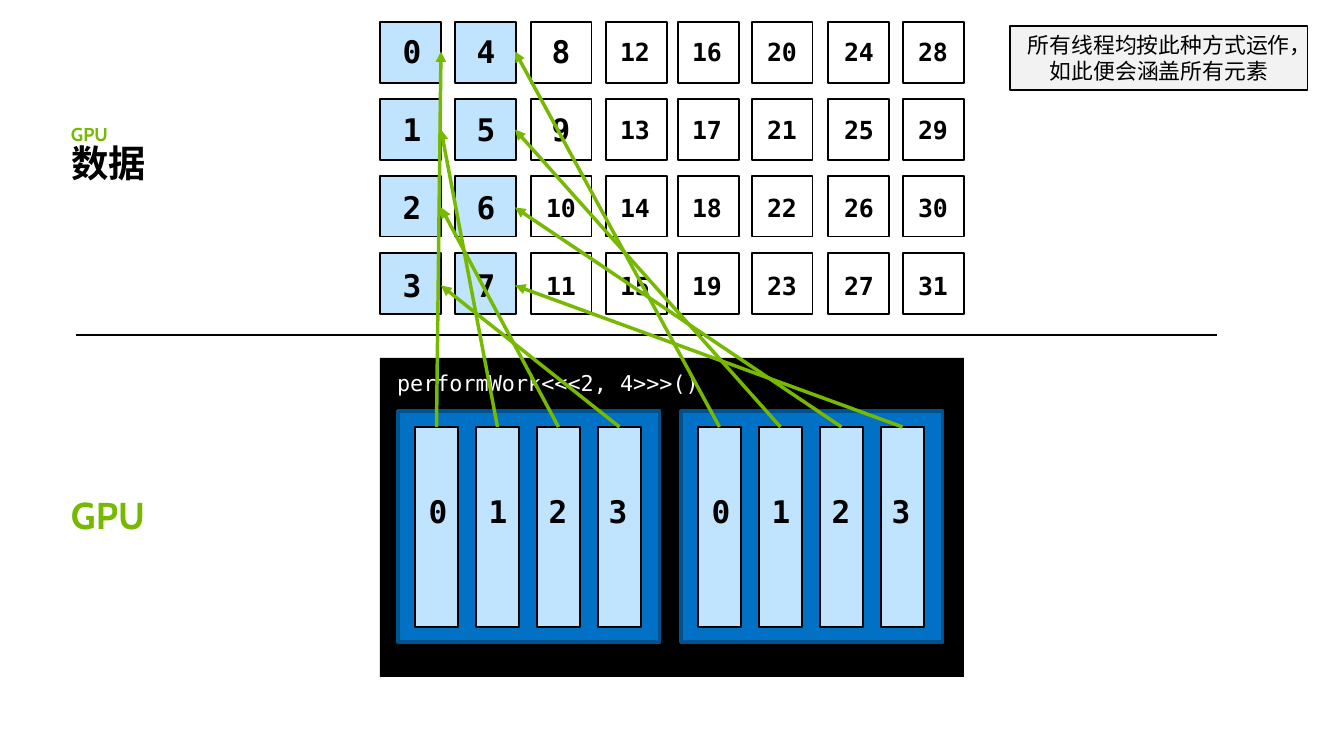
from lxml import etree
from pptx import Presentation
from pptx import util as u
from pptx.dml.color import RGBColor
from pptx.enum import shapes, text
from pptx.oxml.ns import qn

BLACK, WHITE, GREEN = "000000", "FFFFFF", "76B900"
PALE_BLUE, BLUE, DARK_BLUE, GREY = "C0E3FE", "0071C5", "00528F", "F2F2F2"
MONO, SANS, BRAND = "DejaVu Sans Mono", "Arial", "Cabin"
LEFT, CENTER = text.PP_ALIGN.LEFT, text.PP_ALIGN.CENTER
TOP, MIDDLE, BOTTOM = text.MSO_ANCHOR.TOP, text.MSO_ANCHOR.MIDDLE, text.MSO_ANCHOR.BOTTOM

ROWS = 4
CELL_LEFTS = [380, 455, 531, 606, 678, 752, 828, 903]
NUMBER_LEFTS = [383, 457, 532, 606, 678, 753, 830, 904]
CELL_TOP, CELL_PITCH, CELL_SIZE = 22, 77, 61
NUMBER_MIDDLE, NUMBER_PITCH, NUMBER_WIDTH = 51, 78, 58
BLOCKS, BLOCK_PITCH = 2, 283
THREADS, THREAD_PITCH = 4, 61


def px(length):
    return u.Emu(round(length * 914400 / 112))


def color(value):
    return RGBColor.from_string(value)


class Board:
    def __init__(self, slide):
        self.slide = slide

    def set_words(self, shape, words, font, size, ink, bold=False,
                  align=LEFT, anchor=MIDDLE, spacing=None):
        frame = shape.text_frame
        frame.text = words
        frame.word_wrap = True
        frame.vertical_anchor = anchor
        paragraph = frame.paragraphs[0]
        paragraph.alignment = align
        if spacing:
            paragraph.line_spacing = spacing
        style = paragraph.runs[0].font
        style.name = font
        style.size = u.Pt(size)
        style.bold = bold
        style.color.rgb = color(ink)

    def rect(self, left, top, width, height, fill, line=None, weight=0.75):
        shape = self.slide.shapes.add_shape(
            shapes.MSO_SHAPE.RECTANGLE, px(left), px(top), px(width), px(height))
        shape.shadow.inherit = False
        shape.fill.solid()
        shape.fill.fore_color.rgb = color(fill)
        if line:
            shape.line.color.rgb = color(line)
            shape.line.width = u.Pt(weight)
        else:
            shape.line.fill.background()
        return shape

    def label(self, left, top, width, height, words, font, size, ink, **style):
        box = self.slide.shapes.add_textbox(px(left), px(top), px(width), px(height))
        self.set_words(box, words, font, size, ink, bold=True, **style)
        return box

    def number(self, left, middle, value):
        height, size = (49, 20) if value < 10 else (41, 16)
        return self.label(left, middle - height // 2, NUMBER_WIDTH, height,
                          str(value), MONO, size, BLACK, align=CENTER)

    def line(self, x1, y1, x2, y2, ink, weight):
        connector = self.slide.shapes.add_connector(
            shapes.MSO_CONNECTOR.STRAIGHT, px(x1), px(y1), px(x2), px(y2))
        connector.line.color.rgb = color(ink)
        connector.line.width = u.Pt(weight)
        etree.SubElement(connector._element.spPr, qn("a:effectLst"))
        return connector

    def arrow(self, thread, number):
        connector = self.line(0, 0, 0, 0, GREEN, 2.25)
        connector.begin_connect(thread, 0)
        connector.end_connect(number, 3)
        outline = connector._element.spPr.find(qn("a:ln"))
        etree.SubElement(outline, qn("a:tailEnd"), type="triangle")


def main():
    deck = Presentation()
    deck.slide_width, deck.slide_height = px(1344), px(756)
    board = Board(deck.slides.add_slide(deck.slide_layouts[6]))

    board.rect(380, 358, 584, 319, BLACK)
    kernel = board.rect(386, 368, 343, 29, BLACK)
    board.set_words(kernel, "performWork<<<2, 4>>>()", MONO, 14, WHITE)

    threads = []
    for block in range(BLOCKS):
        shift = block * BLOCK_PITCH
        board.rect(398 + shift, 411, 262, 231, BLUE, DARK_BLUE, 2)
        for index in range(THREADS):
            left = 415 + shift + index * THREAD_PITCH
            threads.append(board.rect(left, 427, 43, 200, PALE_BLUE, BLACK))
            board.number(409 + shift + index * 60, 511, index)

    numbers = []
    for column, (cell_left, number_left) in enumerate(zip(CELL_LEFTS, NUMBER_LEFTS)):
        for row in range(ROWS):
            value = column * ROWS + row
            fill = PALE_BLUE if value < len(threads) else WHITE
            board.rect(cell_left, CELL_TOP + row * CELL_PITCH,
                       CELL_SIZE, CELL_SIZE, fill, BLACK)
            numbers.append(board.number(
                number_left, NUMBER_MIDDLE + row * NUMBER_PITCH, value))

    board.line(76, 335, 1217, 335, BLACK, 1.5)
    heading = dict(anchor=BOTTOM, spacing=0.9)
    board.label(60, 492, 109, 51, "GPU", BRAND, 24, GREEN, **heading)
    board.label(60, 140, 123, 51, "数据", BRAND, 24, BLACK, **heading)
    board.label(60, 120, 62, 31, "GPU", BRAND, 12, GREEN, **heading)

    for thread, number in zip(threads, numbers):
        board.arrow(thread, number)

    note = board.rect(1010, 26, 298, 64, GREY, BLACK)
    board.set_words(note, "所有线程均按此种方式运作，如此便会涵盖所有元素",
                    SANS, 14, BLACK, align=CENTER, anchor=TOP)

    deck.save("out.pptx")


if __name__ == "__main__":
    main()
